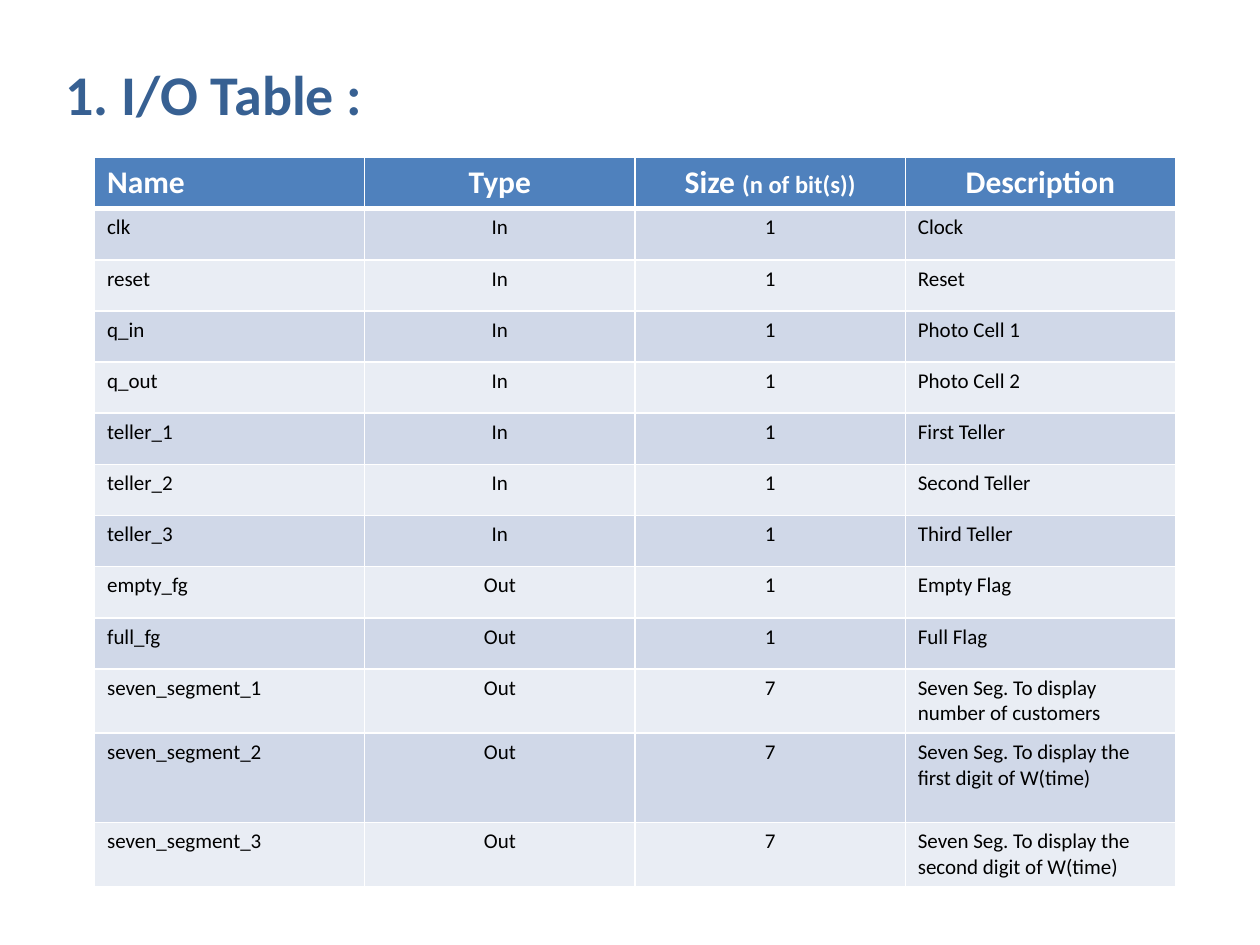
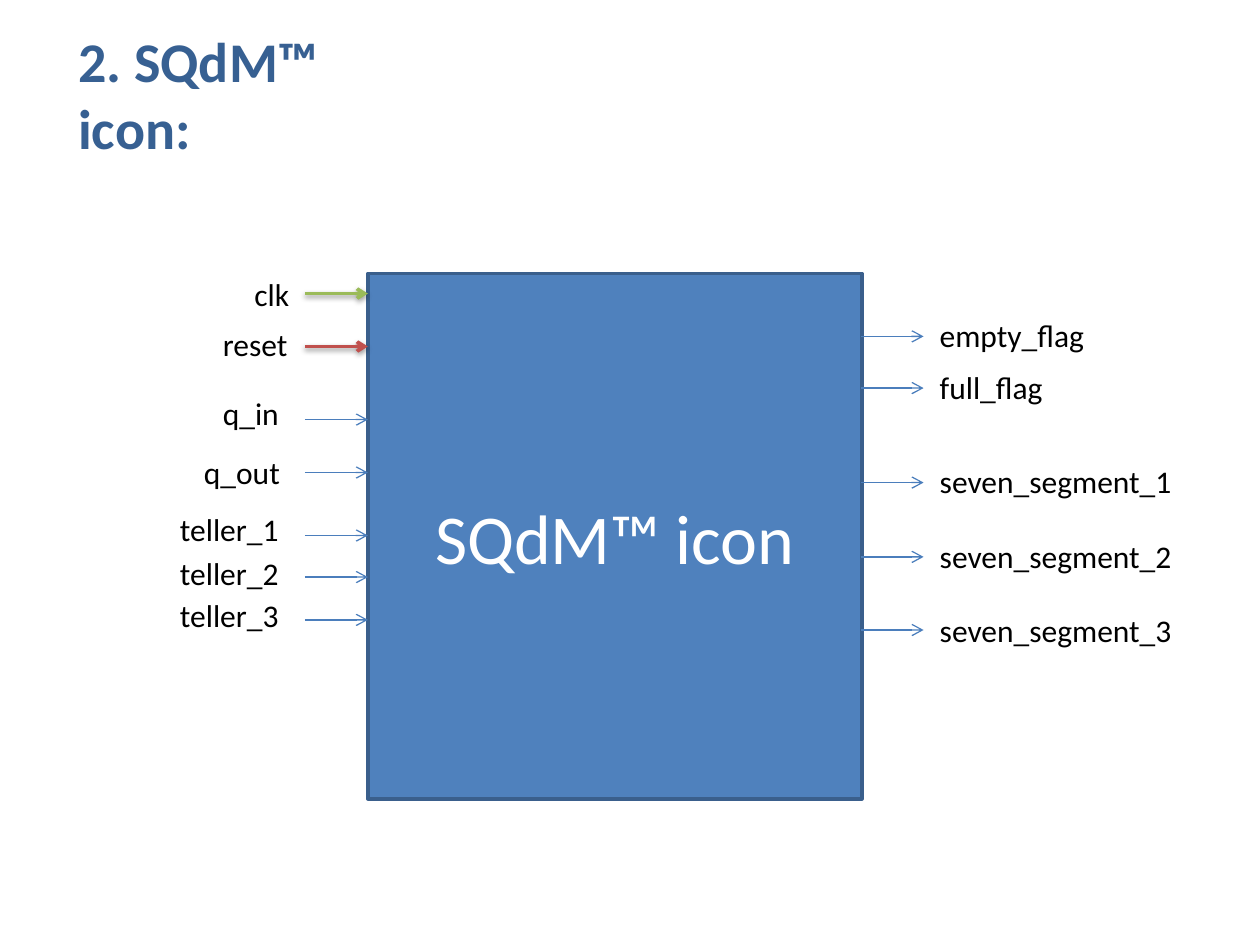
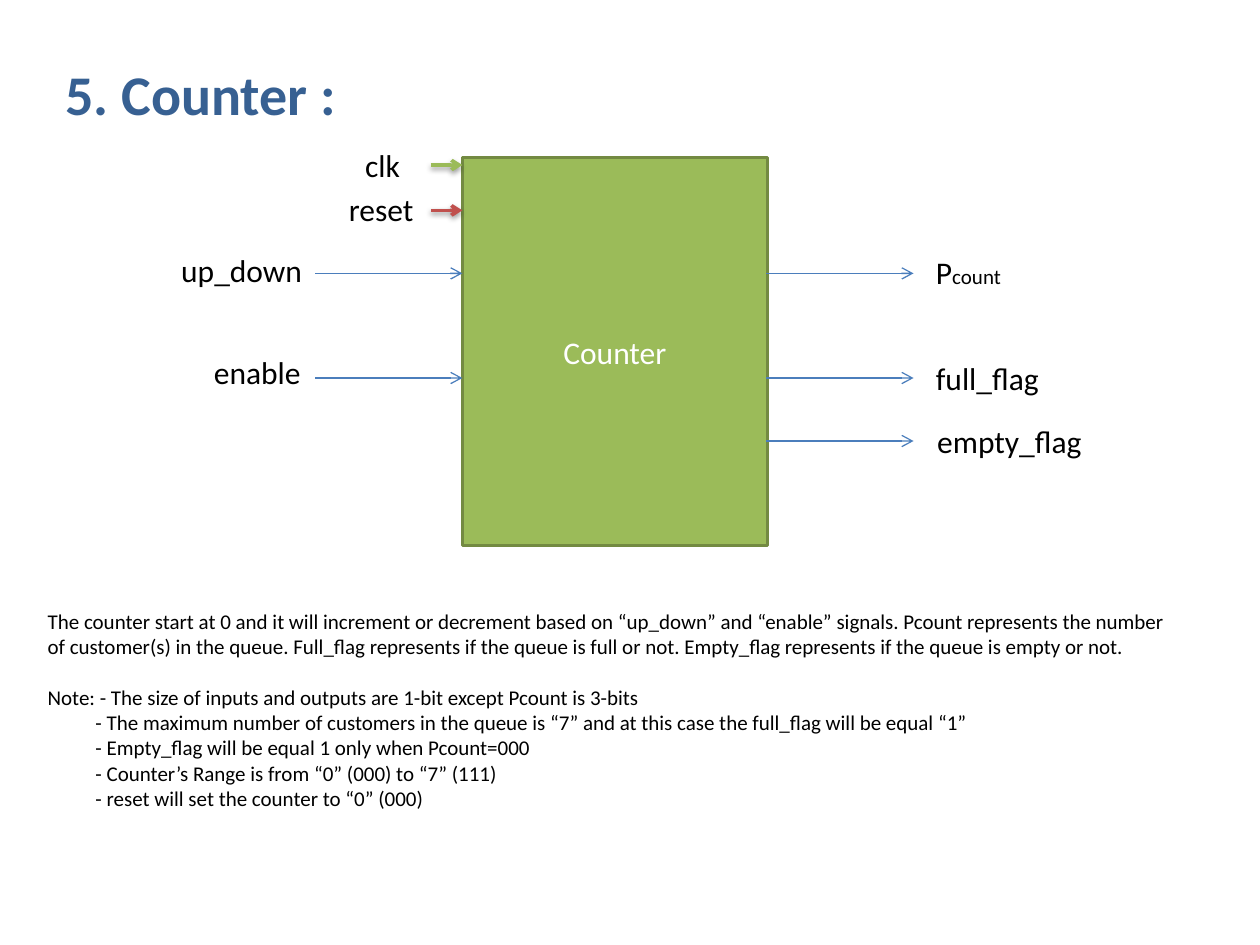
from lxml import etree
from pptx import Presentation
from pptx.dml.color import RGBColor
from pptx.enum.shapes import MSO_CONNECTOR, MSO_SHAPE
from pptx.enum.text import MSO_ANCHOR, MSO_AUTO_SIZE, PP_ALIGN
from pptx.oxml.ns import qn
from pptx.util import Inches, Pt

FONT = "Calibri"
HEX = {
    "title": "376092", "blue": "4F81BD", "edge": "3A5F8C", "wire": "4B7EBC",
    "green": "9BBB59", "moss": "738A42", "red": "C0504D",
    "odd": "D0D8E8", "even": "E9EDF4", "white": "FFFFFF", "black": "000000",
}
RGB = {name: RGBColor.from_string(code) for name, code in HEX.items()}


def say(para, text, size, color="black", bold=False):
    """Add one formatted run to a paragraph."""
    run = para.add_run()
    run.text = text
    run.font.name = FONT
    run.font.size = Pt(size)
    run.font.bold = bold
    run.font.color.rgb = RGB[color]


def arrow(slide, x1, x2, y, color):
    """Draw a level arrow; coloured control signals are thick with a shadow."""
    bold = color != "wire"
    link = slide.shapes.add_connector(
        MSO_CONNECTOR.STRAIGHT, Inches(x1), Inches(y), Inches(x2), Inches(y))
    link.line.color.rgb = RGB[color]
    link.line.width = Pt(2 if bold else 0.75)
    props = link._element.spPr
    etree.SubElement(props.find(qn("a:ln")), qn("a:tailEnd"), type="arrow")
    effect = etree.SubElement(props, qn("a:effectLst"))
    if bold:
        shade = etree.SubElement(
            effect, qn("a:outerShdw"), blurRad=str(Pt(3.1)), dist=str(Pt(1.6)),
            dir="5400000", rotWithShape="0")
        tint = etree.SubElement(shade, qn("a:srgbClr"), val=HEX["black"])
        etree.SubElement(tint, qn("a:alpha"), val="38000")


deck = Presentation()
deck.slide_width, deck.slide_height = Inches(10), Inches(7.5)

# Slides and their titles
titles = [
    ("1. I/O Table :", 0.42, 2.58),
    ("2. SQdM™ icon:", 0.52, 3.08),
    ("5. Counter :", 0.42, 2.37),
]
slides = []
for text, left, width in titles:
    slide = deck.slides.add_slide(deck.slide_layouts[5])
    title = slide.shapes.title
    title.left, title.top = Inches(left), Inches(0.42)
    title.width, title.height = Inches(width), Inches(0.64)
    frame = title.text_frame
    frame.word_wrap = False
    frame.auto_size = MSO_AUTO_SIZE.SHAPE_TO_FIT_TEXT
    frame.paragraphs[0].alignment = PP_ALIGN.LEFT
    say(frame.paragraphs[0], text, 32, "title", True)
    slides.append(slide)

# Table of inputs and outputs
rows = [
    ("Name", "Type", "Size ", "Description"),
    ("clk", "In", "1", "Clock"),
    ("reset", "In", "1", "Reset"),
    ("q_in", "In", "1", "Photo Cell 1"),
    ("q_out", "In", "1", "Photo Cell 2"),
    ("teller_1", "In", "1", "First Teller"),
    ("teller_2", "In", "1", "Second Teller"),
    ("teller_3", "In", "1", "Third Teller"),
    ("empty_fg", "Out", "1", "Empty Flag"),
    ("full_fg", "Out", "1", "Full Flag"),
    ("seven_segment_1", "Out", "7", "Seven Seg. To display number of customers"),
    ("seven_segment_2", "Out", "7",
     "Seven Seg. To display the first digit of W(time)"),
    ("seven_segment_3", "Out", "7",
     "Seven Seg. To display the second digit of W(time)"),
]
tall = {10: 0.51, 11: 0.71, 12: 0.51}
table = slides[0].shapes.add_table(
    len(rows), 4, Inches(0.75), Inches(1.25), Inches(8.58), Inches(5.76)).table
for r, row in enumerate(rows):
    head = r == 0
    table.rows[r].height = Inches(tall[r]) if r in tall else Inches(4.06) // 10
    for c, text in enumerate(row):
        cell = table.cell(r, c)
        props = cell._tc.get_or_add_tcPr()
        for side in "LRTB":
            thick = (head and side == "B") or (r == 1 and side == "T")
            line = etree.SubElement(
                props, qn("a:ln" + side), w=str(Pt(3 if thick else 1)))
            fill = etree.SubElement(line, qn("a:solidFill"))
            etree.SubElement(fill, qn("a:srgbClr"), val=HEX["white"])
        cell.fill.solid()
        band = "blue" if head else "odd" if r % 2 else "even"
        cell.fill.fore_color.rgb = RGB[band]
        para = cell.text_frame.paragraphs[0]
        if c in (1, 2) or (head and c == 3):
            para.alignment = PP_ALIGN.CENTER
        if head:
            say(para, text, 18, "white", True)
        else:
            say(para, text, 12)
say(table.cell(0, 2).text_frame.paragraphs[0], "(n of bit(s))", 14, "white", True)

# Block diagrams: box, arrows (from x, to x, y, colour), labels (word, left, top)
icon = {
    "slide": slides[1], "name": "SQdM™ icon", "size": 40,
    "box": (2.92, 2.17, 3.92, 4.17), "fill": "blue", "line": "edge",
    "arrows": [(2.42, 2.92, 2.33, "green"), (2.42, 2.92, 2.75, "red")]
    + [(2.42, 2.92, y, "wire") for y in (3.33, 3.75, 4.25, 4.58, 4.92)]
    + [(6.83, 7.33, y, "wire") for y in (2.67, 3.08, 3.83, 4.42, 5)],
    "labels": [
        ("clk", 1.92, 2.13), ("reset", 1.67, 2.53),
        ("q_in", 1.67, 3.08), ("q_out", 1.52, 3.55),
        ("teller_1", 1.33, 4), ("teller_2", 1.33, 4.35), ("teller_3", 1.33, 4.68),
        ("empty_flag", 7.36, 2.46), ("full_flag", 7.36, 2.87),
        ("seven_segment_1", 7.36, 3.62), ("seven_segment_2", 7.36, 4.21),
        ("seven_segment_3", 7.36, 4.8),
    ],
}
counter = {
    "slide": slides[2], "name": "Counter", "size": 18,
    "box": (3.67, 1.25, 2.42, 3.08), "fill": "green", "line": "moss",
    "arrows": [(3.42, 3.67, 1.31, "green"), (3.42, 3.67, 1.67, "red")]
    + [(2.5, 3.67, y, "wire") for y in (2.17, 3)]
    + [(6.08, 7.25, y, "wire") for y in (2.17, 3, 3.5)],
    "labels": [
        ("up_down", 1.34, 1.94), ("enable", 1.6, 2.75),
        ("Pcount", 7.33, 1.96), ("full_flag", 7.33, 2.8),
        ("empty_flag", 7.34, 3.3), ("clk", 2.8, 1.11), ("reset", 2.67, 1.46),
    ],
}
wide = {
    "clk": 0.48, "reset": 0.72, "q_in": 0.65, "q_out": 0.81, "up_down": 1.17,
    "enable": 0.9, "Pcount": 0.72, "full_flag": 1.03, "empty_flag": 1.36,
}
for n in (1, 2, 3):
    wide[f"teller_{n}"] = 0.99
    wide[f"seven_segment_{n}"] = 2.06
split = {"Pcount": [("P", 18), ("count", 12)]}

for plan in (icon, counter):
    shapes = plan["slide"].shapes
    block = shapes.add_shape(MSO_SHAPE.RECTANGLE, *map(Inches, plan["box"]))
    block.shadow.inherit = False
    block.fill.solid()
    block.fill.fore_color.rgb = RGB[plan["fill"]]
    block.line.color.rgb = RGB[plan["line"]]
    block.line.width = Pt(2)
    block.text_frame.vertical_anchor = MSO_ANCHOR.MIDDLE
    para = block.text_frame.paragraphs[0]
    para.alignment = PP_ALIGN.CENTER
    say(para, plan["name"], plan["size"], "white")
    for x1, x2, y, color in plan["arrows"]:
        arrow(plan["slide"], x1, x2, y, color)
    for word, left, top in plan["labels"]:
        label = shapes.add_textbox(
            Inches(left), Inches(top), Inches(wide[word]), Inches(0.4))
        frame = label.text_frame
        frame.word_wrap = False
        frame.auto_size = MSO_AUTO_SIZE.SHAPE_TO_FIT_TEXT
        for part, size in split.get(word, [(word, 18)]):
            say(frame.paragraphs[0], part, size)

# Notes under the counter
lines = [
    "The counter start at 0 and it will increment or decrement based on "
    "“up_down” and “enable” signals. Pcount represents the number",
    "of customer(s) in the queue. Full_flag represents if the queue is full "
    "or not. Empty_flag represents if the queue is empty or not.",
    "Note: - The size of inputs and outputs are 1-bit except Pcount is 3-bits",
    "- The maximum number of customers in the queue is “7” and at this case "
    "the full_flag will be equal “1”",
    "- Empty_flag will be equal 1 only when Pcount=000",
    "- Counter’s Range is from “0” (000) to “7” (111)",
    "- reset will set the counter to “0” (000)",
]
notes = slides[2].shapes.add_textbox(
    Inches(0.28), Inches(4.78), Inches(9.2), Inches(1.72))
frame = notes.text_frame
frame.word_wrap = False
frame.auto_size = MSO_AUTO_SIZE.SHAPE_TO_FIT_TEXT
for n, text in enumerate(lines):
    para = frame.add_paragraph() if n else frame.paragraphs[0]
    if text.startswith("Note"):
        para.space_before = Pt(14.6)
    if text.startswith("-"):
        para._p.get_or_add_pPr().set("marL", str(Inches(0.38)))
    say(para, text, 12)

deck.save("out.pptx")
